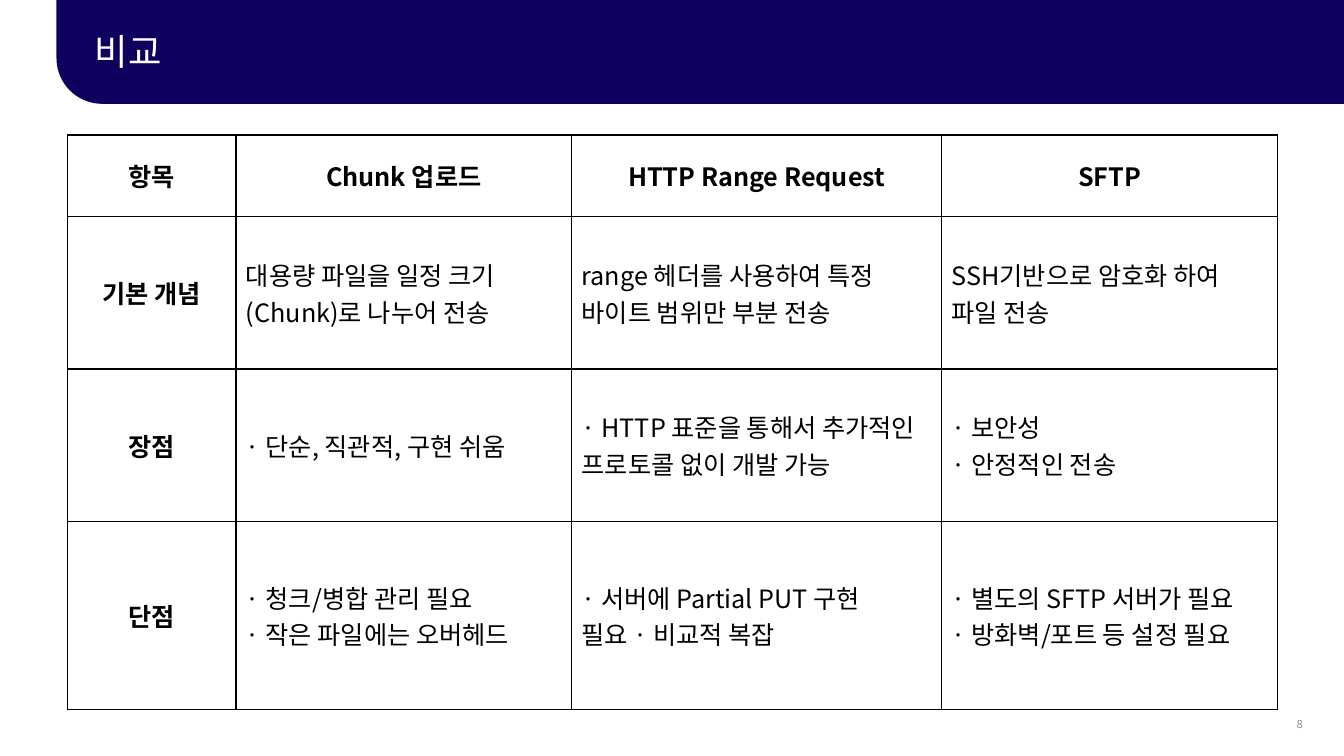
from lxml.etree import SubElement
from pptx import Presentation
from pptx.dml.color import RGBColor
from pptx.enum.shapes import MSO_SHAPE
from pptx.enum.text import MSO_ANCHOR, PP_ALIGN
from pptx.oxml.ns import qn
from pptx.util import Inches, Pt

FONT = "Noto Sans CJK KR"
COLORS = {"navy": "0F005F", "white": "FFFFFF", "black": "000000", "number": "0D0D0D"}
COLUMN_WIDTHS = [1.67, 3.33, 3.67, 3.33]
ROW_HEIGHTS = [0.81, 1.51, 1.51, 1.87]
COMPARISON = [
    ["항목", "Chunk 업로드", "HTTP Range Request", "SFTP"],
    [
        "기본 개념",
        "대용량 파일을 일정 크기(Chunk)로 나누어 전송",
        "range 헤더를 사용하여 특정 바이트 범위만 부분 전송",
        "SSH기반으로 암호화 하여 파일 전송",
    ],
    [
        "장점",
        "· 단순, 직관적, 구현 쉬움",
        "· HTTP 표준을 통해서 추가적인 프로토콜 없이 개발 가능",
        "· 보안성\n· 안정적인 전송",
    ],
    [
        "단점",
        "· 청크/병합 관리 필요\n· 작은 파일에는 오버헤드",
        "· 서버에 Partial PUT 구현 필요 · 비교적 복잡",
        "· 별도의 SFTP 서버가 필요\n· 방화벽/포트 등 설정 필요",
    ],
]


def format_text(text_frame, size, color, bold=False, alignment=PP_ALIGN.LEFT):
    for paragraph in text_frame.paragraphs:
        paragraph.alignment = alignment
        for run in paragraph.runs:
            run.font.size = Pt(size)
            run.font.bold = bold
            run.font.color.rgb = RGBColor.from_string(COLORS[color])
            run.font.name = FONT
            SubElement(run.font._element, qn("a:ea"), typeface=FONT)


def add_header_band(slide):
    band = slide.shapes.add_shape(
        MSO_SHAPE.ROUND_1_RECTANGLE, Inches(0.56), 0, Inches(12.77), Inches(1.03)
    )
    band.rotation = 180
    band.adjustments[0] = 0.44
    band.shadow.inherit = False
    band.fill.solid()
    band.fill.fore_color.rgb = RGBColor.from_string(COLORS["navy"])
    band.line.fill.background()


def add_text(slide, text, left, top, width, height):
    box = slide.shapes.add_textbox(Inches(left), Inches(top), Inches(width), Inches(height))
    box.text_frame.text = text
    return box.text_frame


def add_title(slide, text):
    text_frame = add_text(slide, text, 0.94, 0.29, 9.9, 0.44)
    text_frame.word_wrap = True
    text_frame.margin_left = 0
    format_text(text_frame, 26, "white")
    paragraph = text_frame.paragraphs[0]
    paragraph.line_spacing = 0.9
    paragraph.space_before = Pt(10)


def add_page_number(slide, text):
    text_frame = add_text(slide, text, 12.68, 7.07, 0.34, 0.24)
    text_frame.word_wrap = False
    format_text(text_frame, 8, "number", alignment=PP_ALIGN.RIGHT)
    for color in text_frame._element.iter(qn("a:srgbClr")):
        SubElement(color, qn("a:alpha"), val="50000")


def add_cell_borders(cell):
    properties = cell._tc.get_or_add_tcPr()
    for index, side in enumerate(("lnL", "lnR", "lnT", "lnB")):
        line = properties.makeelement(qn(f"a:{side}"), {"w": str(Pt(1))})
        fill = SubElement(line, qn("a:solidFill"))
        SubElement(fill, qn("a:srgbClr"), val=COLORS["black"])
        properties.insert(index, line)


def fill_cell(cell, text, heading, centered):
    cell.text_frame.text = text
    cell.vertical_anchor = MSO_ANCHOR.MIDDLE
    cell.fill.background()
    add_cell_borders(cell)
    alignment = PP_ALIGN.CENTER if centered else PP_ALIGN.LEFT
    format_text(cell.text_frame, 18, "black", heading, alignment)


def add_comparison_table(slide):
    table = slide.shapes.add_table(
        len(ROW_HEIGHTS), len(COLUMN_WIDTHS),
        Inches(0.67), Inches(1.34), Inches(sum(COLUMN_WIDTHS)), Inches(sum(ROW_HEIGHTS)),
    ).table
    table.first_row = False
    table.horz_banding = False
    for column, width in zip(table.columns, COLUMN_WIDTHS):
        column.width = Inches(width)
    for row_index, (row, height) in enumerate(zip(table.rows, ROW_HEIGHTS)):
        row.height = Inches(height)
        for column_index, text in enumerate(COMPARISON[row_index]):
            heading = row_index == 0 or column_index == 0
            fill_cell(table.cell(row_index, column_index), text, heading, heading)


def main():
    presentation = Presentation()
    presentation.slide_width = Inches(13.33)
    presentation.slide_height = Inches(7.5)
    slide = presentation.slides.add_slide(presentation.slide_layouts[6])
    add_header_band(slide)
    add_page_number(slide, "8")
    add_title(slide, "비교")
    add_comparison_table(slide)
    presentation.save("out.pptx")


if __name__ == "__main__":
    main()
